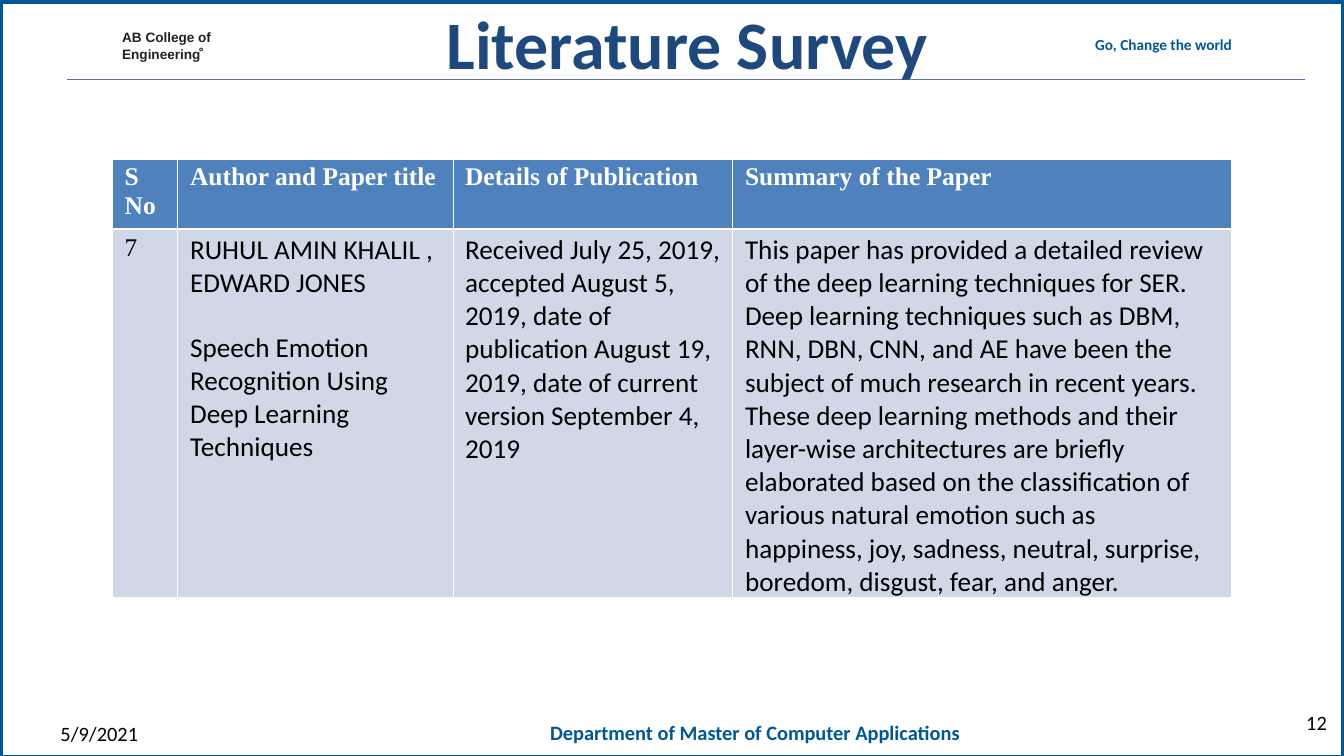
from dataclasses import dataclass

from lxml import etree
from pptx import Presentation
from pptx.dml.color import RGBColor
from pptx.enum.shapes import MSO_CONNECTOR, MSO_SHAPE
from pptx.enum.text import PP_ALIGN
from pptx.oxml.ns import qn
from pptx.util import Inches, Pt


@dataclass(frozen=True)
class Theme:
    white: str = "FFFFFF"
    black: str = "000000"
    ink: str = "231F20"
    brand: str = "005893"
    title: str = "1F497D"
    rule: str = "5E6DB3"
    header_fill: str = "4F81BD"
    body_fill: str = "D0D8E7"
    sans: str = "Calibri"
    serif: str = "Times New Roman"
    college_font: str = "Arial"
    title_size: int = 80
    body_size: int = 32
    header_size: int = 30
    footer_size: int = 24
    tagline_size: int = 18
    college_size: int = 16


THEME = Theme()
WIDTH, HEIGHT = 21.99, 12.37
COLUMN_WIDTHS = (1.07, 4.5, 4.58, 8.15)
ROW_HEIGHTS = (1.15, 6.02)
HEADERS = ("S No", "Author and Paper title", "Details of Publication", "Summary of the Paper")
PAPER = (
    "7",
    "RUHUL AMIN KHALIL , EDWARD JONES\n"
    "Speech Emotion Recognition Using Deep Learning Techniques",
    "Received July 25, 2019, accepted August 5, 2019, date of publication "
    "August 19, 2019, date of current version September 4, 2019",
    "This paper has provided a detailed review of the deep learning techniques for SER. "
    "Deep learning techniques such as DBM, RNN, DBN, CNN, and AE have been the subject of "
    "much research in recent years. These deep learning methods and their layer-wise "
    "architectures are briefly elaborated based on the classification of various natural "
    "emotion such as happiness, joy, sadness, neutral, surprise, boredom, disgust, fear, "
    "and anger.",
)


def rgb(color):
    return RGBColor.from_string(color)


def write(frame, text, size, color, font=THEME.sans, bold=False,
          align=PP_ALIGN.LEFT, before=0, gap=0, spacing=None):
    frame.word_wrap = True
    for index, line in enumerate(text.split("\n")):
        paragraph = frame.add_paragraph() if index else frame.paragraphs[0]
        paragraph.alignment = align
        paragraph.space_before = Pt(gap if index and gap else before)
        if spacing:
            paragraph.line_spacing = Pt(spacing)
        run = paragraph.add_run()
        run.text = line
        run.font.name = font
        run.font.size = Pt(size)
        run.font.bold = bold
        run.font.color.rgb = rgb(color)


def add_label(slide, box, text, size, color, top_inset=0, **style):
    frame = slide.shapes.add_textbox(*map(Inches, box)).text_frame
    frame.margin_left = frame.margin_right = frame.margin_bottom = 0
    frame.margin_top = Inches(top_inset)
    write(frame, text, size, color, **style)


def add_preset(slide, preset, box, fill, line=None, line_width=0):
    shape = slide.shapes.add_shape(preset, *map(Inches, box))
    shape.shadow.inherit = False
    shape.fill.solid()
    shape.fill.fore_color.rgb = rgb(fill)
    if line:
        shape.line.color.rgb = rgb(line)
        shape.line.width = Pt(line_width)
    else:
        shape.line.fill.background()
    return shape


def add_rule(slide, left, right, y):
    rule = slide.shapes.add_connector(
        MSO_CONNECTOR.STRAIGHT, Inches(left), Inches(y), Inches(right), Inches(y))
    rule.line.color.rgb = rgb(THEME.rule)
    rule.line.width = Pt(1.24)
    etree.SubElement(rule._element.spPr, qn("a:effectLst"))


def set_borders(cell, **widths):
    properties = cell._tc.get_or_add_tcPr()
    for side in "LRTB":
        line = etree.SubElement(properties, qn(f"a:ln{side}"), w=str(Pt(widths.get(side, 0.96))))
        fill = etree.SubElement(line, qn("a:solidFill"))
        etree.SubElement(fill, qn("a:srgbClr"), val=THEME.white)


def fill_cell(cell, text, fill, borders, **style):
    set_borders(cell, **borders)
    cell.fill.solid()
    cell.fill.fore_color.rgb = rgb(fill)
    cell.margin_left = cell.margin_right = Inches(0.2)
    cell.margin_top = cell.margin_bottom = Inches(0.07)
    write(cell.text_frame, text, **style)


def add_survey_table(slide, left, top):
    table = slide.shapes.add_table(
        len(ROW_HEIGHTS), len(COLUMN_WIDTHS), Inches(left), Inches(top),
        Inches(sum(COLUMN_WIDTHS)), Inches(sum(ROW_HEIGHTS))).table
    for row, height in zip(table.rows, ROW_HEIGHTS):
        row.height = Inches(height)
    for index, width in enumerate(COLUMN_WIDTHS):
        table.columns[index].width = Inches(width)
        fill_cell(table.cell(0, index), HEADERS[index], THEME.header_fill, {"B": 3},
                  size=THEME.header_size, color=THEME.white, font=THEME.serif, bold=True)
        is_number = index == 0
        fill_cell(table.cell(1, index), PAPER[index], THEME.body_fill, {"T": 3},
                  size=THEME.header_size if is_number else THEME.body_size,
                  color=THEME.black, font=THEME.serif if is_number else THEME.sans, gap=37)


def add_page_frame(slide):
    add_preset(slide, MSO_SHAPE.RECTANGLE, (0, 0.02, WIDTH, HEIGHT), THEME.white, THEME.brand, 6)
    add_rule(slide, 1.1, 21.36, 1.3)
    add_preset(slide, MSO_SHAPE.DONUT, (3.26, 0.78, 0.06, 0.06), THEME.ink)
    add_label(slide, (2, 0.48, 1.5, 0.54), "AB College of\nEngineering", THEME.college_size,
              THEME.ink, 0.02, font=THEME.college_font, bold=True, before=1.4, spacing=17.9)
    add_label(slide, (17.92, 0.56, 3.03, 0.32), "Go, Change the world", THEME.tagline_size,
              THEME.brand, 0.01, bold=True, before=1)
    add_label(slide, (9, 11.77, 7.58, 0.42), "Department of Master of Computer Applications",
              THEME.footer_size, THEME.brand, 0.01, bold=True, before=1)


def main():
    presentation = Presentation()
    presentation.slide_width = Inches(WIDTH)
    presentation.slide_height = Inches(HEIGHT)
    slide = presentation.slides.add_slide(presentation.slide_layouts[6])
    add_page_frame(slide)
    add_survey_table(slide, 1.84, 2.6)
    add_label(slide, (5.66, 0.02, 11.17, 1.35), "Literature Survey", THEME.title_size,
              THEME.title, bold=True, align=PP_ALIGN.CENTER)
    add_label(slide, (0.99, 11.8, 5.06, 0.4), "5/9/2021", THEME.footer_size, THEME.black)
    add_label(slide, (18.74, 11.62, 2.97, 0.4), "12", THEME.footer_size, THEME.black,
              align=PP_ALIGN.RIGHT)
    presentation.save("out.pptx")


main()
